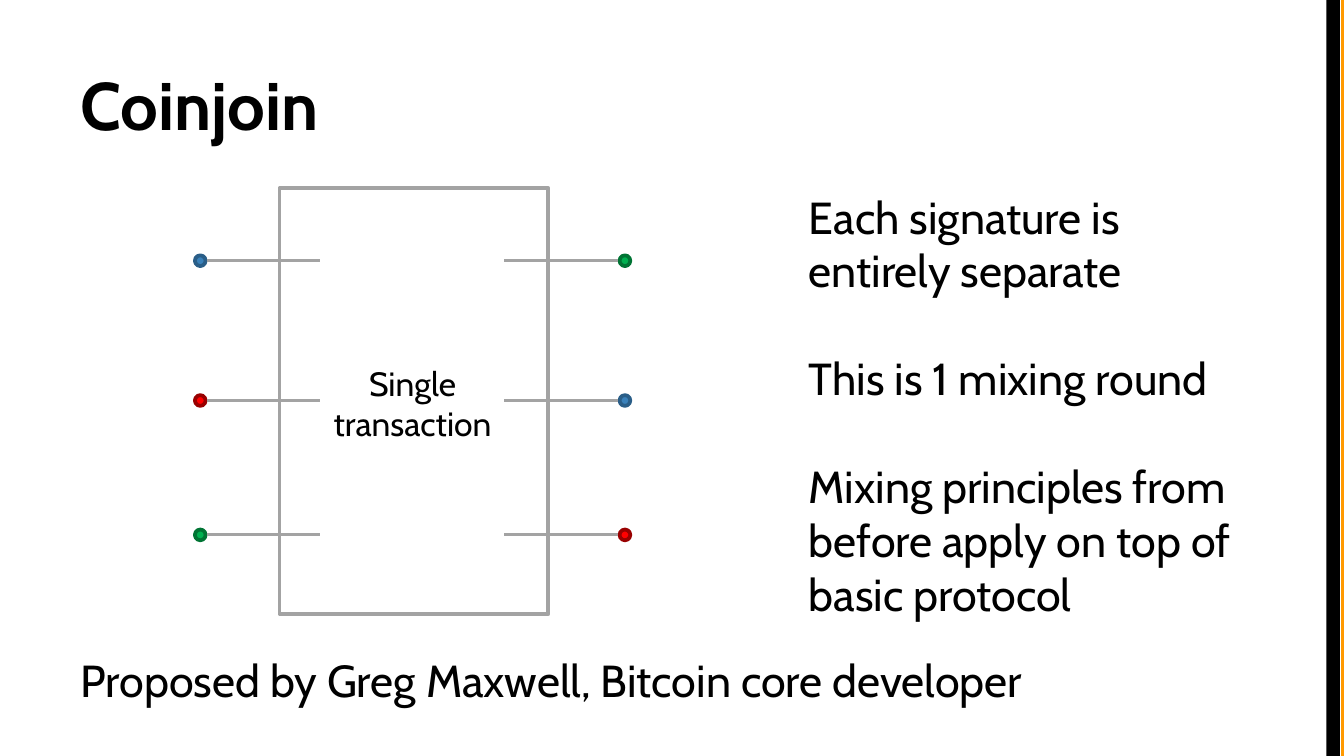
from lxml import etree
from pptx import Presentation
from pptx.dml.color import RGBColor
from pptx.enum.shapes import MSO_CONNECTOR, MSO_SHAPE
from pptx.enum.text import MSO_ANCHOR, PP_ALIGN
from pptx.oxml.ns import qn
from pptx.util import Inches, Pt

RECT, OVAL = MSO_SHAPE.RECTANGLE, MSO_SHAPE.OVAL
STRAIGHT = MSO_CONNECTOR.STRAIGHT
TOP, BOTTOM = MSO_ANCHOR.TOP, MSO_ANCHOR.BOTTOM
LEFT, CENTER = PP_ALIGN.LEFT, PP_ALIGN.CENTER

FONT = "Cabin"
BLACK = RGBColor(0x00, 0x00, 0x00)
ORANGE = RGBColor(0xFF, 0x99, 0x00)
GRAY = RGBColor(0xA3, 0xA3, 0xA3)
# Each coin: fill and outline
BLUE = (RGBColor(0x3A, 0x81, 0xBA), RGBColor(0x2A, 0x5E, 0x88))
RED = (RGBColor(0xFF, 0x00, 0x00), RGBColor(0x99, 0x00, 0x00))
GREEN = (RGBColor(0x00, 0xB0, 0x50), RGBColor(0x00, 0x74, 0x34))

SLIDE_W = 10
SLIDE_H = SLIDE_W * 9 / 16
COIN_SIZE = 0.08
ROWS = (1.94, 2.98, 3.98)
INPUTS = (BLUE, RED, GREEN)
OUTPUTS = (GREEN, BLUE, RED)


def add_shape(slide, kind, x, y, w, h, fill=None, line=None):
    sp = slide.shapes.add_shape(kind, Inches(x), Inches(y), Inches(w), Inches(h))
    sp.shadow.inherit = False
    if fill is None:
        sp.fill.background()
    else:
        sp.fill.solid()
        sp.fill.fore_color.rgb = fill
    if line is None:
        sp.line.fill.background()
    else:
        sp.line.color.rgb = line
        sp.line.width = Pt(2)


def add_line(slide, x1, x2, y):
    line = slide.shapes.add_connector(
        STRAIGHT, Inches(x1), Inches(y), Inches(x2), Inches(y))
    line.line.color.rgb = GRAY
    line.line.width = Pt(1.5)
    etree.SubElement(line._element.spPr, qn("a:effectLst"))


def add_text(slide, x, y, w, h, lines, size, bold=False, align=LEFT,
             anchor=TOP, inset=0.05, gap=0):
    box = slide.shapes.add_textbox(Inches(x), Inches(y), Inches(w), Inches(h))
    tf = box.text_frame
    tf.word_wrap = True
    tf.vertical_anchor = anchor
    tf.margin_left = tf.margin_right = Inches(0.1)
    tf.margin_top = tf.margin_bottom = Inches(inset)
    for i, text in enumerate(lines):
        p = tf.paragraphs[0] if i == 0 else tf.add_paragraph()
        p.text = text
        p.alignment = align
        p.space_before = Pt(gap if i else 0)
        p.font.name = FONT
        p.font.size = Pt(size)
        p.font.bold = bold
        p.font.color.rgb = BLACK


def add_coins(slide, coins, coin_x, line_x1, line_x2):
    for y, (fill, outline) in zip(ROWS, coins):
        add_shape(slide, OVAL, coin_x, y - COIN_SIZE / 2,
                  COIN_SIZE, COIN_SIZE, fill, outline)
        add_line(slide, line_x1, line_x2, y)


def main():
    prs = Presentation()
    prs.slide_width, prs.slide_height = Inches(SLIDE_W), Inches(SLIDE_H)
    slide = prs.slides.add_slide(prs.slide_layouts[6])

    # Edge stripes, the orange one bleeding off the right edge
    for x, color in ((9.98, ORANGE), (9.87, BLACK)):
        add_shape(slide, RECT, x, 0, 0.1, SLIDE_H, color)

    # Title and explanation
    add_text(slide, 0.5, 0.23, 9, 0.94, ["Coinjoin"], 36, bold=True,
             anchor=BOTTOM, inset=0.1)
    add_text(slide, 5.92, 1.31, 3.58, 4.07, [
        "Each signature is entirely separate",
        "This is 1 mixing round",
        "Mixing principles from before apply on top of basic protocol",
    ], 24, inset=0.1, gap=29)

    # Transaction with its inputs and outputs
    add_coins(slide, INPUTS, 1.45, 1.54, 2.38)
    add_shape(slide, RECT, 2.08, 1.4, 2, 3.17, line=GRAY)
    add_coins(slide, OUTPUTS, 4.61, 3.75, 4.6)
    add_text(slide, 2.33, 2.65, 1.48, 0.71, ["Single", "transaction"], 18,
             align=CENTER)

    # Attribution
    add_text(slide, 0.5, 4.81, 7.81, 0.5,
             ["Proposed by Greg Maxwell, Bitcoin core developer"], 24)

    prs.save("out.pptx")


if __name__ == "__main__":
    main()
